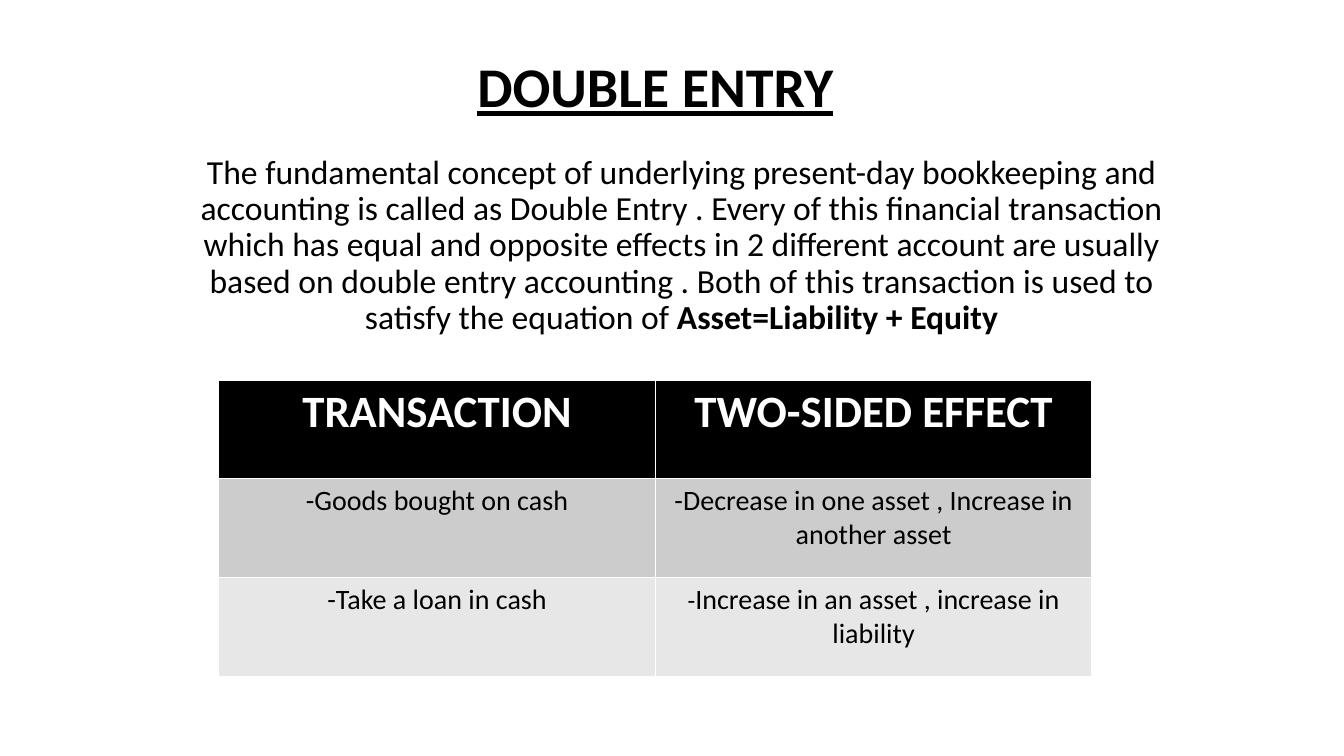
import pptx
import pptx.dml.color
import pptx.enum.text
import pptx.util

PX = 9144  # EMU per px, 100 px to the inch
COLORS = {"black": "000000", "white": "FFFFFF", "mid": "CCCCCC", "light": "E7E7E7"}


def rgb(name):
    return pptx.dml.color.RGBColor.from_string(COLORS[name])


def add_run(p, text, size, color="black", bold=False):
    p.alignment = pptx.enum.text.PP_ALIGN.CENTER
    r = p.add_run()
    r.text = text
    r.font.name = "Calibri"
    r.font.size = pptx.util.Pt(size)
    r.font.bold = bold
    r.font.color.rgb = rgb(color)
    return r


prs = pptx.Presentation()
prs.slide_width, prs.slide_height = 1333 * PX, 750 * PX
s = prs.slides.add_slide(prs.slide_layouts[5])

# Title
title = s.shapes.title
title.left, title.top, title.width, title.height = 167 * PX, 30 * PX, 966 * PX, 94 * PX
tf = title.text_frame
tf.auto_size = pptx.enum.text.MSO_AUTO_SIZE.NONE
tf.vertical_anchor = pptx.enum.text.MSO_ANCHOR.BOTTOM
p = tf.paragraphs[0]
p.line_spacing = 0.9
add_run(p, "DOUBLE ENTRY", 40, bold=True).font.underline = True

# Definition
definition = s.shapes.add_textbox(167 * PX, 149 * PX, 1018 * PX, 601 * PX)
tf = definition.text_frame
tf.word_wrap = True
p = tf.paragraphs[0]
p.line_spacing = 0.9
add_run(p, "The fundamental concept of underlying present-day bookkeeping and "
           "accounting is called as Double Entry . Every of this financial transaction "
           "which has equal and opposite effects in 2 different account are usually "
           "based on double entry accounting . Both of this transaction is used to "
           "satisfy the equation of ", 24)
add_run(p, "Asset=Liability + Equity", 24, bold=True)

# Table of transactions: each cell is a list of (text, size) runs
rows = [
    ("black", "white", [[("TRANSACTION", 32)], [("TWO-SIDED EFFECT", 32)]]),
    ("mid", "black", [[("-Goods bought on cash", 20)],
                      [("-Decrease in one asset , Increase in another asset", 20)]]),
    ("light", "black", [[("-Take a loan in cash", 20)],
                        [("-", 18), ("Increase in an asset , increase in liability", 20)]]),
]
table = s.shapes.add_table(3, 2, 217 * PX, 377 * PX, 866 * PX, 294 * PX).table
for i, (fill, color, cells) in enumerate(rows):
    for j, runs in enumerate(cells):
        cell = table.cell(i, j)
        cell.fill.solid()
        cell.fill.fore_color.rgb = rgb(fill)
        for text, size in runs:
            add_run(cell.text_frame.paragraphs[0], text, size, color, bold=i == 0)

prs.save("out.pptx")
